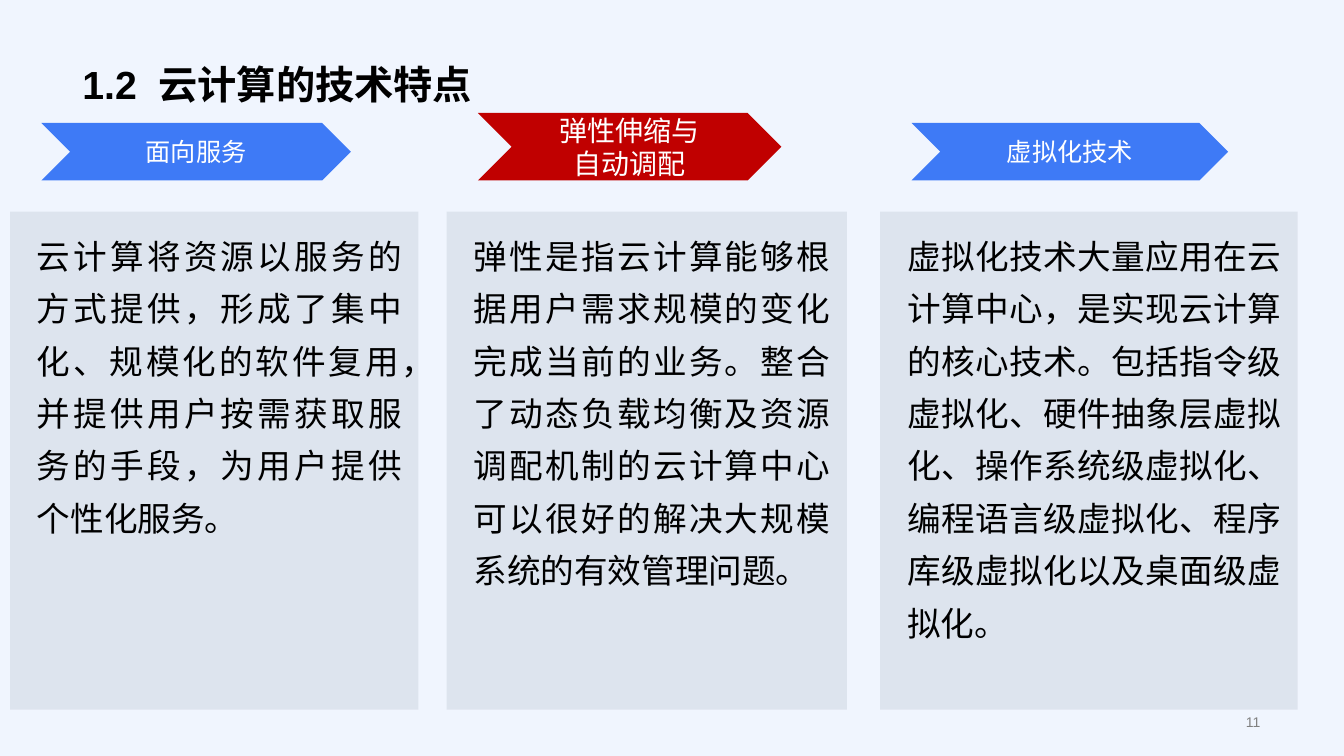
from dataclasses import dataclass
from typing import Any

from pptx import Presentation
from pptx import util as u
from pptx.dml import color
from pptx.enum import lang, shapes, text
from pptx.oxml import xmlchemy as xml
from pptx.oxml import ns

WIDE, HIGH = u.Inches(13.33), u.Inches(7.5)
FONT = "Arial"
HUES = {
    "back": "F0F5FE",
    "panel": "778495",
    "blue": "3E7AF6",
    "red": "C00000",
    "black": "000000",
    "white": "FFFFFF",
    "grey": "808080",
}
TOP, DEPTH = 28, 65.87
BASE = 23.87
PAD = 0.12


@dataclass
class Box:
    left: float
    top: float
    width: float
    height: float

    def place(self) -> tuple[int, int, int, int]:
        return (
            int(WIDE * self.left / 100),
            int(HIGH * self.top / 100),
            int(WIDE * self.width / 100),
            int(HIGH * self.height / 100),
        )


@dataclass
class Style:
    size: float
    hue: str
    align: Any
    anchor: Any
    lead: float = 1.0
    bold: bool = False


@dataclass
class Topic:
    left: float
    width: float
    tip: float
    rise: float
    size: float
    hue: str
    head: list[str]
    body: str
    deep: float


TOPICS = [
    Topic(0.75, 30.38, 23.03, 7.6, 18, "blue", ["面向服务"],
          "云计算将资源以服务的方式提供，形成了集中化、规模化的软件复用，"
          "并提供用户按需获取服务的手段，为用户提供个性化服务。", 44.53),
    Topic(33.23, 29.78, 22.58, 8.93, 20, "red", ["弹性伸缩与", "自动调配"],
          "弹性是指云计算能够根据用户需求规模的变化完成当前的业务。"
          "整合了动态负载均衡及资源调配机制的云计算中心可以很好的解决大规模系统的有效管理问题。",
          51.47),
    Topic(65.49, 31.06, 23.56, 7.6, 18, "blue", ["虚拟化技术"],
          "虚拟化技术大量应用在云计算中心，是实现云计算的核心技术。"
          "包括指令级虚拟化、硬件抽象层虚拟化、操作系统级虚拟化、"
          "编程语言级虚拟化、程序库级虚拟化以及桌面级虚拟化。", 58.53),
]


def tint(name: str) -> color.RGBColor:
    return color.RGBColor.from_string(HUES[name])


def add_run(para: Any, words: str, style: Style) -> Any:
    run = para.add_run()
    run.text = words
    font = run.font
    font.name, font.size, font.bold = FONT, u.Pt(style.size), style.bold
    font.color.rgb = tint(style.hue)
    font.language_id = lang.MSO_LANGUAGE_ID.SIMPLIFIED_CHINESE
    return run


def write(shape: Any, lines: list[list[str]], style: Style) -> None:
    frame = shape.text_frame
    frame.word_wrap = True
    frame.vertical_anchor = style.anchor
    for index, parts in enumerate(lines):
        para = frame.add_paragraph() if index else frame.paragraphs[0]
        para.alignment = style.align
        para.line_spacing = style.lead
        for words in parts:
            add_run(para, words, style)


def draw(home: Any, kind: Any, box: Box, hue: str) -> Any:
    shape = home.add_shape(kind, *box.place())
    shape.shadow.inherit = False
    shape.fill.solid()
    shape.fill.fore_color.rgb = tint(hue)
    shape.line.fill.background()
    return shape


def fade(shape: Any, share: int) -> None:
    hue = shape.fill._xPr.find(".//" + ns.qn("a:srgbClr"))
    alpha = xml.OxmlElement("a:alpha")
    alpha.set("val", str(share * 1000))
    hue.append(alpha)


def add_topic(home: Any, topic: Topic) -> None:
    group = home.add_group_shape().shapes
    panel = draw(group, shapes.MSO_SHAPE.ROUNDED_RECTANGLE,
                 Box(topic.left, TOP, topic.width, DEPTH), "panel")
    panel.adjustments[0] = 0
    fade(panel, 15)

    box = Box(topic.left + 1.1, TOP, topic.width - 1.42, topic.deep)
    body = group.add_textbox(*box.place())
    frame = body.text_frame
    frame.margin_left = frame.margin_right = u.Inches(PAD)
    frame.margin_top = frame.margin_bottom = u.Inches(PAD)
    frame.auto_size = text.MSO_AUTO_SIZE.SHAPE_TO_FIT_TEXT
    write(body, [[topic.body]], Style(
        24, "black", text.PP_ALIGN.JUSTIFY, text.MSO_ANCHOR.TOP, 1.3))

    tag = draw(group, shapes.MSO_SHAPE.CHEVRON,
               Box(topic.left + 2.33, BASE - topic.rise, topic.tip, topic.rise),
               topic.hue)
    write(tag, [[line] for line in topic.head], Style(
        topic.size, "white", text.PP_ALIGN.CENTER, text.MSO_ANCHOR.MIDDLE))


def main() -> None:
    deck = Presentation()
    deck.slide_width, deck.slide_height = WIDE, HIGH
    slide = deck.slides.add_slide(deck.slide_layouts[6])
    fill = slide.background.fill
    fill.solid()
    fill.fore_color.rgb = tint("back")

    title = slide.shapes.add_textbox(*Box(5.4, 0, 89.12, 14.93).place())
    write(title, [["1.2", " ", "云计算的技术特点"]], Style(
        28, "black", text.PP_ALIGN.LEFT, text.MSO_ANCHOR.BOTTOM, 0.9, True))
    gap = title.text_frame.paragraphs[0].runs[1]
    gap.font._element.set("spc", "780")

    page = slide.shapes.add_textbox(*Box(72.69, 93.87, 21.83, 3.2).place())
    write(page, [["11"]], Style(
        10, "grey", text.PP_ALIGN.RIGHT, text.MSO_ANCHOR.MIDDLE))

    for topic in TOPICS:
        add_topic(slide.shapes, topic)
    deck.save("out.pptx")


if __name__ == "__main__":
    main()
